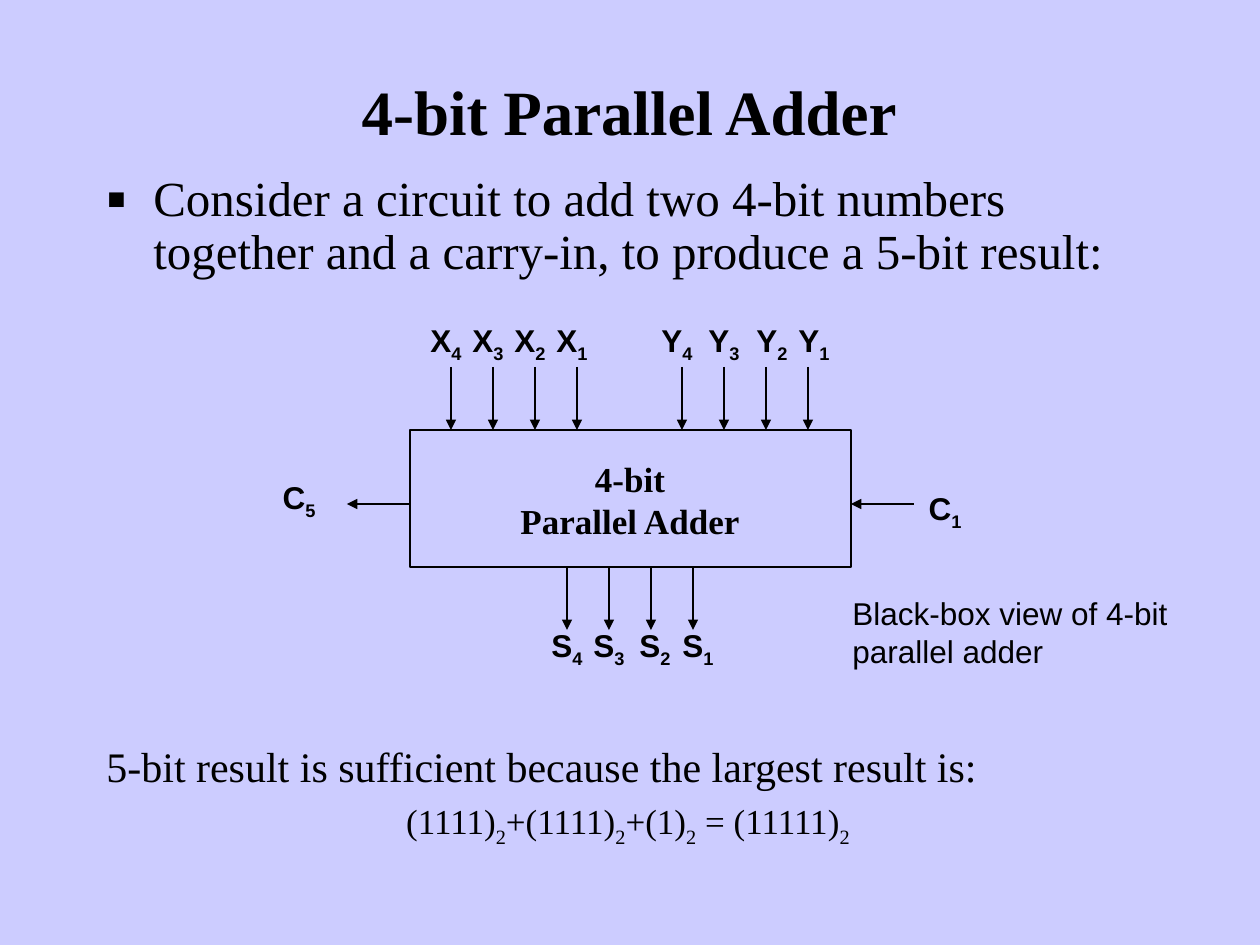
"""Build a slide showing a 4-bit parallel adder as a black box."""
import lxml.etree
import pptx
import pptx.dml.color
import pptx.enum.shapes
import pptx.enum.text
import pptx.oxml.ns
import pptx.util

BLACK = pptx.dml.color.RGBColor(0x00, 0x00, 0x00)
LAVENDER = pptx.dml.color.RGBColor(0xCC, 0xCC, 0xFF)
SERIF = "Times New Roman"
SANS = "Arial"
LEFT = pptx.enum.text.PP_ALIGN.LEFT
CENTER = pptx.enum.text.PP_ALIGN.CENTER
PIXEL = 914400 / 126
PITCH = 42


def px(length):
    return pptx.util.Emu(round(length * PIXEL))


def add_element(parent, tag, **attributes):
    return lxml.etree.SubElement(parent, pptx.oxml.ns.qn(tag), attributes)


def write_paragraph(paragraph, text, size=18, font=SANS, bold=False, align=LEFT,
                    spacing=1.0, before=0, bullet=None, subscript=-25):
    if bullet:
        properties = paragraph._p.get_or_add_pPr()
        properties.set("marL", str(px(47)))
        properties.set("indent", str(-px(47)))
        add_element(properties, "a:buSzPct", val="120000")
        add_element(properties, "a:buFont", typeface=SANS)
        add_element(properties, "a:buChar", char=bullet)
    paragraph.alignment = align
    paragraph.line_spacing = spacing
    paragraph.space_before = pptx.util.Pt(before)
    first, *rest = text.split("_")
    pieces = [(first, False)]
    for part in rest:
        pieces += [(part[0], True), (part[1:], False)]
    for piece, lowered in pieces:
        if not piece:
            continue
        run = paragraph.add_run()
        run.text = piece
        run.font.size = pptx.util.Pt(size)
        run.font.name = font
        run.font.bold = bold
        run.font.color.rgb = BLACK
        if lowered:
            run._r.get_or_add_rPr().set("baseline", str(subscript * 1000))


class Diagram:
    def __init__(self, slide):
        self.slide = slide
        background = slide.background.fill
        background.solid()
        background.fore_color.rgb = LAVENDER

    def text(self, left, top, width, height, *paragraphs, middle=False):
        frame = self.slide.shapes.add_textbox(px(left), px(top), px(width), px(height)).text_frame
        frame.word_wrap = True
        if middle:
            frame.vertical_anchor = pptx.enum.text.MSO_ANCHOR.MIDDLE
        for index, (text, style) in enumerate(paragraphs):
            paragraph = frame.add_paragraph() if index else frame.paragraphs[0]
            write_paragraph(paragraph, text, **style)

    def label(self, center, top, text):
        self.text(center - 36, top, 72, 55, (text, dict(bold=True, align=CENTER)))

    def labels(self, name, centers, top):
        for bit, center in zip((4, 3, 2, 1), centers):
            self.label(center, top, f"{name}_{bit}")

    def box(self, left, top, width, height):
        shape = self.slide.shapes.add_shape(
            pptx.enum.shapes.MSO_SHAPE.RECTANGLE, px(left), px(top), px(width), px(height))
        shape.shadow.inherit = False
        shape.fill.background()
        shape.line.color.rgb = BLACK
        shape.line.width = pptx.util.Pt(1.5)

    def arrow(self, start_x, start_y, end_x, end_y):
        connector = self.slide.shapes.add_connector(
            pptx.enum.shapes.MSO_CONNECTOR.STRAIGHT,
            px(start_x), px(start_y), px(end_x), px(end_y))
        connector.line.color.rgb = BLACK
        connector.line.width = pptx.util.Pt(1.25)
        add_element(connector.line._get_or_add_ln(), "a:tailEnd", type="triangle")
        add_element(connector._element.spPr, "a:effectLst")

    def arrows_down(self, left, top, bottom):
        for index in range(4):
            x = left + index * PITCH
            self.arrow(x, top, x, bottom)


def main():
    presentation = pptx.Presentation()
    presentation.slide_width, presentation.slide_height = px(1260), px(945)
    diagram = Diagram(presentation.slides.add_slide(presentation.slide_layouts[6]))

    diagram.text(94, 32, 1071, 157, ("4-bit Parallel Adder", dict(
        size=36, font=SERIF, bold=True, align=CENTER)), middle=True)
    diagram.text(94, 168, 1071, 120, (
        "Consider a circuit to add two 4-bit numbers together and a carry-in, "
        "to produce a 5-bit result:",
        dict(size=28, font=SERIF, spacing=0.9, bullet="▪")))

    diagram.box(410, 430, 441, 137)
    name_style = dict(size=20, font=SERIF, bold=True, align=CENTER)
    diagram.text(483, 451, 294, 97, ("4-bit", name_style), ("Parallel Adder", name_style))

    diagram.labels("X", (446, 488, 530, 572), 315)
    diagram.labels("Y", (677, 724, 772, 814), 315)
    diagram.labels("S", (567, 609, 655, 698), 620)
    diagram.arrows_down(451, 367, 430)
    diagram.arrows_down(682, 367, 430)
    diagram.arrows_down(567, 567, 630)

    diagram.label(299, 472, "C_5")
    diagram.arrow(410, 504, 347, 504)
    diagram.label(945, 483, "C_1")
    diagram.arrow(914, 504, 851, 504)

    diagram.text(840, 588, 357, 88, ("Black-box view of 4-bit parallel adder", {}))
    diagram.text(94, 734, 1068, 120,
                 ("5-bit result is sufficient because the largest result is:",
                  dict(size=24, font=SERIF)),
                 ("(1111)_2+(1111)_2+(1)_2 = (11111)_2",
                  dict(size=20, font=SERIF, align=CENTER, before=5, subscript=-30)))
    presentation.save("out.pptx")


if __name__ == "__main__":
    main()
